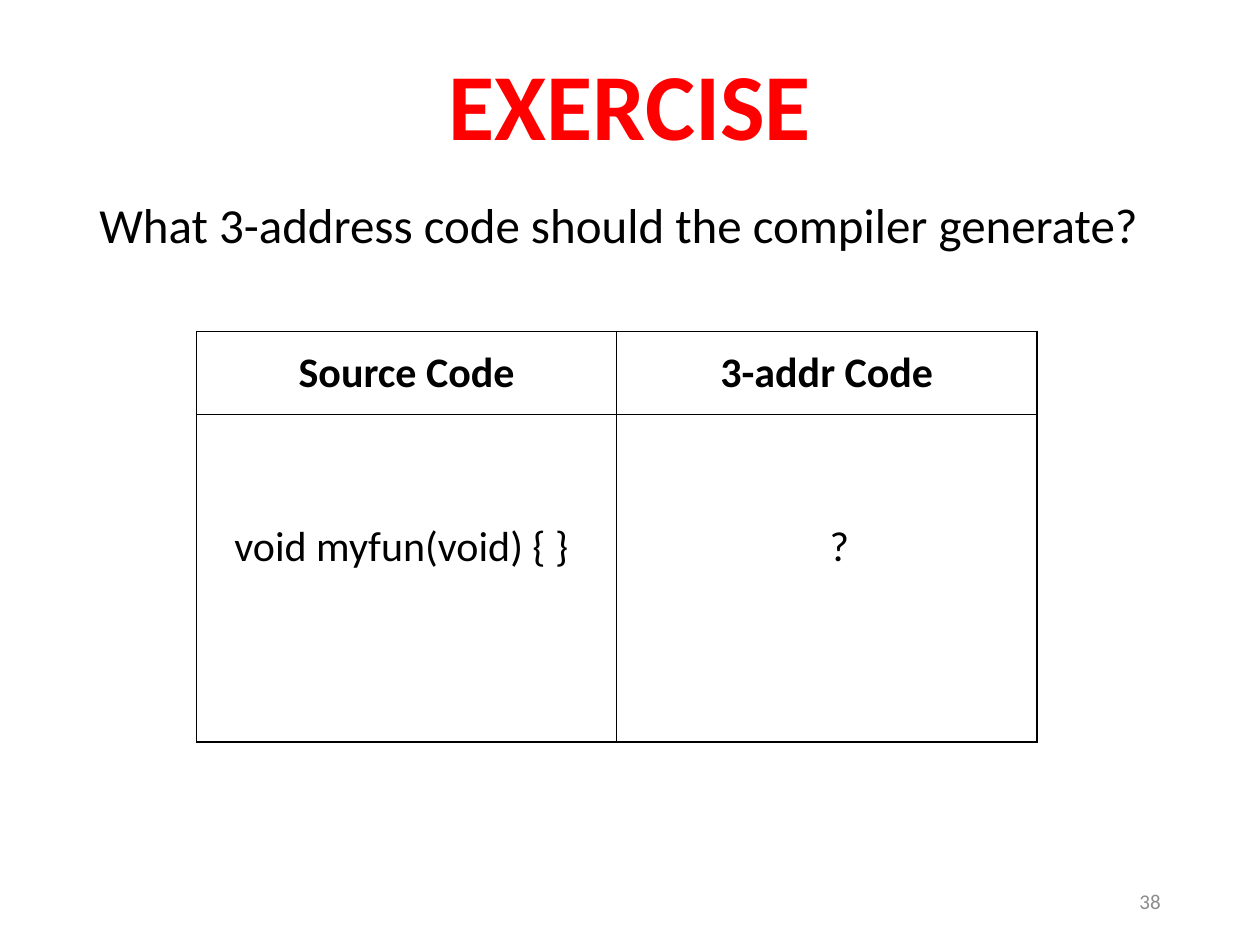
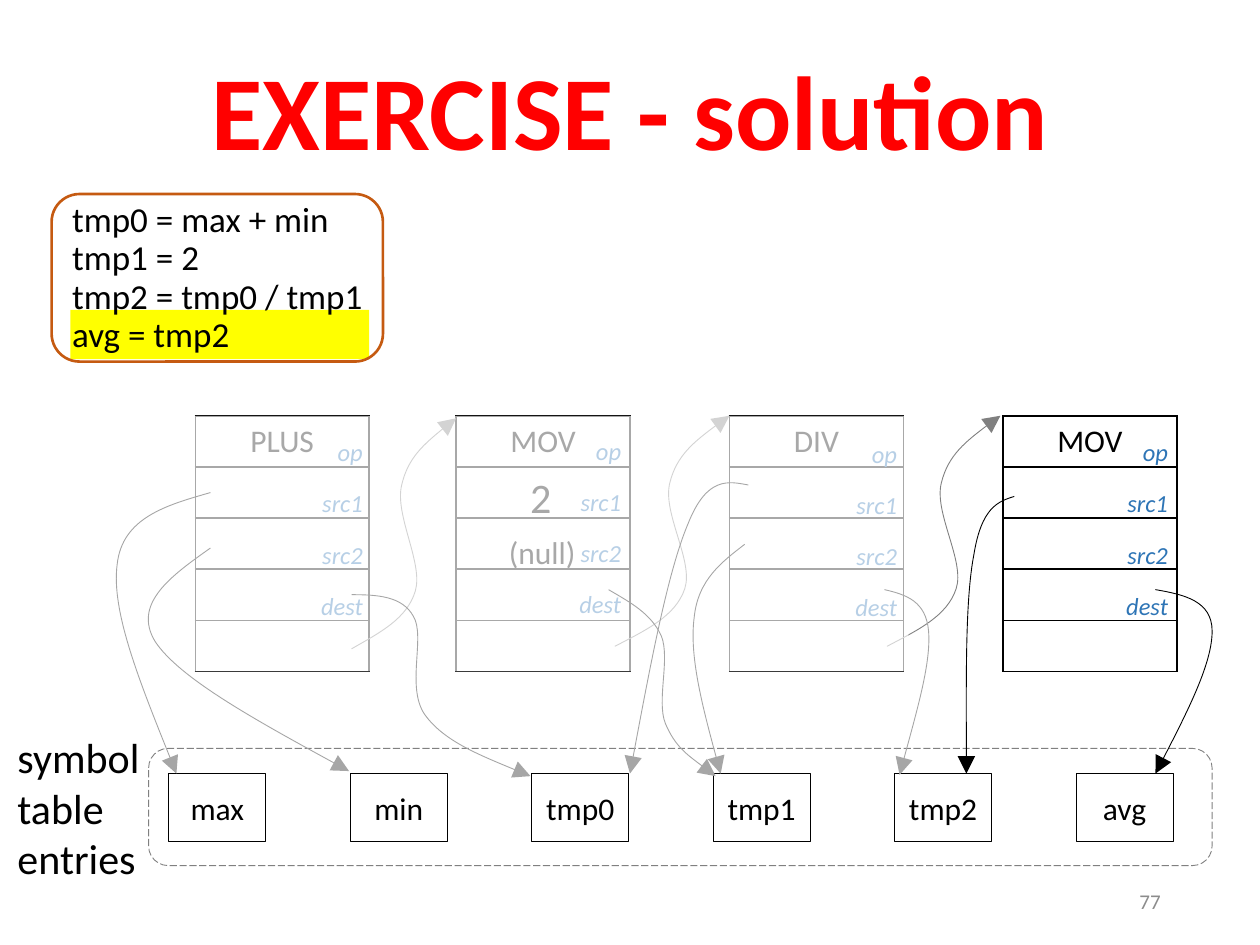
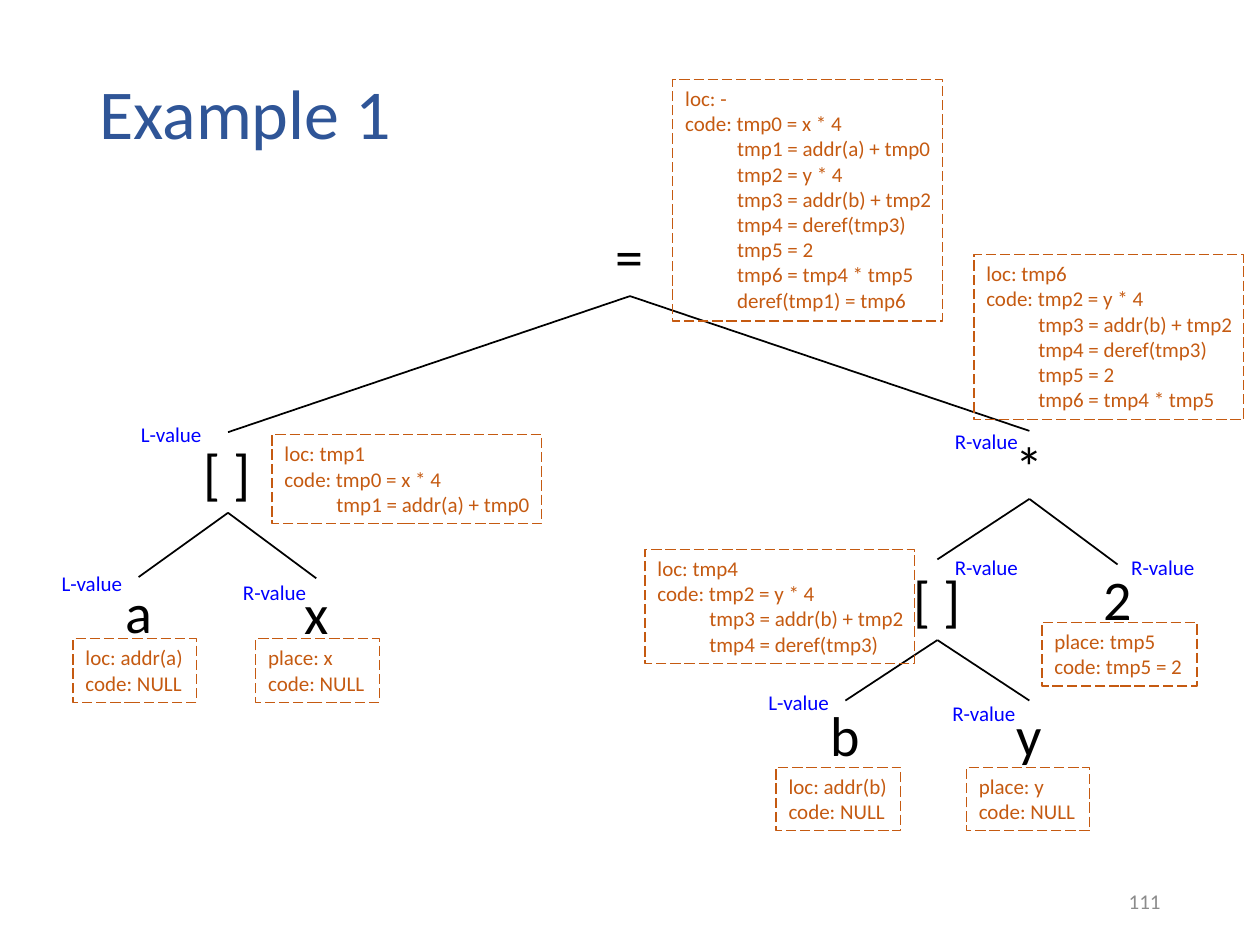
import pptx
import pptx.util
import pptx.dml.color
import pptx.enum.dml
import pptx.enum.shapes
import pptx.enum.text
import pptx.oxml.ns
from lxml import etree

COLORS = {
    "ink": "000000", "title": "FF0000", "heading": "2F5597", "number": "8C8C8C",
    "field": "2E75B6", "code": "C55A11", "value": "0000FF", "mark": "FFFF00",
    "veil": "FFFFFF", "link": "808080", "faded": "A6A6A6",
}
FONT = "Calibri"
COLS, ROWS = 100, 75
SHAPE = pptx.enum.shapes.MSO_SHAPE
ALIGN = pptx.enum.text.PP_ALIGN
ANCHOR = pptx.enum.text.MSO_ANCHOR
DASH = pptx.enum.dml.MSO_LINE.LONG_DASH
INSETS = (1, 0.5, 1, 0.5)
TIGHT = (1, 0.5, 0, 0.5)
NONE = (0, 0, 0, 0)
TITLE_BOX = (6.9, 4, 86.2, 10.5)
FIELDS = ("op", "src1", "src2", "dest", "")
CELL = 4.06
LINK_CURVE = [(0, 1), (0.27, 0.93), (0.53, 0.87), (0.61, 0.75), (0.69, 0.63), (0.41, 0.42),
              (0.48, 0.29), (0.54, 0.17), (0.77, 0.08), (1, 0)]

prs = pptx.Presentation()
prs.slide_width = pptx.util.Inches(10)
prs.slide_height = pptx.util.Inches(7.5)


def gx(cols):
    return pptx.util.Emu(round(prs.slide_width * cols / COLS))


def gy(rows):
    return pptx.util.Emu(round(prs.slide_height * rows / ROWS))


def place(box):
    x, y, w, h = box
    return gx(x), gy(y), gx(w), gy(h)


def rgb(name):
    return pptx.dml.color.RGBColor.from_string(COLORS[name])


def qn(tag):
    return pptx.oxml.ns.qn(tag)


def sub(parent, tag, **attrs):
    return etree.SubElement(parent, qn(tag), attrs)


def write(tf, lines, size, color="ink", bold=False, italic=False, align=ALIGN.LEFT, spacing=None):
    for i, line in enumerate(lines):
        p = tf.paragraphs[0] if i == 0 else tf.add_paragraph()
        p.text = line
        p.alignment = align
        if spacing:
            p.line_spacing = spacing
        p.font.name = FONT
        p.font.size = pptx.util.Pt(size)
        p.font.bold = bold
        p.font.italic = italic
        p.font.color.rgb = rgb(color)


def frame(tf, insets=INSETS, anchor=ANCHOR.TOP, wrap=True):
    tf.word_wrap = wrap
    tf.vertical_anchor = anchor
    tf.margin_left, tf.margin_right = gx(insets[0]), gx(insets[2])
    tf.margin_top, tf.margin_bottom = gy(insets[1]), gy(insets[3])
    return tf


def add_text(slide, box, lines, size, insets=INSETS, anchor=ANCHOR.TOP, wrap=True, **style):
    sp = slide.shapes.add_textbox(*place(box))
    write(frame(sp.text_frame, insets, anchor, wrap), lines, size, **style)
    return sp


def set_line(line, color, width, dash=None):
    line.color.rgb = rgb(color)
    line.width = pptx.util.Pt(width)
    if dash:
        line.dash_style = dash


def add_box(slide, kind, box, fill=None, line=None):
    sp = slide.shapes.add_shape(kind, *place(box))
    sp.shadow.inherit = False
    if fill:
        sp.fill.solid()
        sp.fill.fore_color.rgb = rgb(fill)
    else:
        sp.fill.background()
    if line:
        set_line(sp.line, *line)
    else:
        sp.line.fill.background()
    return sp


def add_curve(slide, points, color):
    emu = [(gx(x), gy(y)) for x, y in points]
    builder = slide.shapes.build_freeform(*emu[0])
    builder.add_line_segments(emu[1:], close=False)
    sp = builder.convert_to_shape()
    sp.shadow.inherit = False
    sp.fill.background()
    set_line(sp.line, color, 0.5)
    sub(sp._element.spPr.find(qn("a:ln")), "a:tailEnd", type="triangle", w="lg", len="lg")
    steps = list(sp._element.iter(qn("a:lnTo")))
    outline = steps[0].getparent()
    for i in range(0, len(steps), 3):
        bezier = sub(outline, "a:cubicBezTo")
        for step in steps[i:i + 3]:
            bezier.append(step[0])
            outline.remove(step)


def set_borders(cell, color):
    tcPr = cell._tc.get_or_add_tcPr()
    for side in ("L", "R", "T", "B"):
        ln = sub(tcPr, "a:ln" + side, w="12700")
        if color:
            sub(sub(ln, "a:solidFill"), "a:srgbClr", val=COLORS[color])
        else:
            sub(ln, "a:noFill")


def add_grid(slide, x, y, widths, heights, border=None):
    box = place((x, y, sum(widths), sum(heights)))
    table = slide.shapes.add_table(len(heights), len(widths), *box).table
    table.first_row = table.horz_banding = False
    for column, width in zip(table.columns, widths):
        column.width = gx(width)
    for row, height in zip(table.rows, heights):
        row.height = gy(height)
    for cell in table.iter_cells():
        set_borders(cell, border)
        cell.fill.background()
    return table


def new_slide(number, title, size, color, height=10.5, **style):
    slide = prs.slides.add_slide(prs.slide_layouts[6])
    add_text(slide, TITLE_BOX[:3] + (height,), [title], size, anchor=ANCHOR.MIDDLE,
             color=color, spacing=0.9, **style)
    add_text(slide, (70.6, 69.5, 22.5, 4), [number], 12, anchor=ANCHOR.MIDDLE,
             color="number", align=ALIGN.RIGHT)
    return slide


def code_table(slide, x, y, width, header, body):
    table = add_grid(slide, x, y, [width / 2] * 2, [header, body], "ink")
    for col, heading in enumerate(("Source Code", "3-addr Code")):
        cell = table.cell(0, col)
        cell.vertical_anchor = ANCHOR.MIDDLE
        write(cell.text_frame, [heading], 24, bold=True, align=ALIGN.CENTER)
    for col, (text, align) in enumerate((("void myfun(void) { }", ALIGN.LEFT), ("?", ALIGN.CENTER))):
        cell = table.cell(1, col)
        cell.margin_left = gx(3)
        cell.margin_top = gy(8.5)
        write(cell.text_frame, [text], 24, align=align)


def record(slide, x, y, op, dx, dy):
    table = add_grid(slide, x, y, [13.8], [CELL] * 5, "ink")
    write(table.cell(0, 0).text_frame, [op], 18, align=ALIGN.CENTER)
    labels = add_grid(slide, x + dx, y + dy, [6.9], [CELL] * 5)
    for row, field in enumerate(FIELDS):
        write(labels.cell(row, 0).text_frame, [field], 14, color="field", italic=True, align=ALIGN.RIGHT)


def next_link(slide, x, y, w, h):
    add_curve(slide, [(x + w * u, y + h * v) for u, v in LINK_CURVE], "link")


def statements(slide, x, y, w, h):
    add_box(slide, SHAPE.RECTANGLE, (x + 1.5, y + 9.2, 23.7, 3.9), fill="mark")
    sp = add_box(slide, SHAPE.ROUNDED_RECTANGLE, (x, y, w, h), line=("code", 1.5))
    lines = ["tmp0 = max + min", "tmp1 = 2", "tmp2 = tmp0 / tmp1", "avg = tmp2"]
    write(frame(sp.text_frame, TIGHT, ANCHOR.MIDDLE), lines, 20, spacing=pptx.util.Pt(22))


def symbol_table(slide, x, y, w, h):
    add_text(slide, (x - 11.4, y - 1.8, 11.8, 13.1), ["symbol", "table", "entries"], 24, wrap=False)
    for i, name in enumerate(("max", "min", "tmp0", "tmp1", "tmp2", "avg")):
        sp = add_box(slide, SHAPE.RECTANGLE, (x + 1.6 + 14.4 * i, y + 2, 7.7, 5.4), line=("ink", 0.5))
        write(frame(sp.text_frame, anchor=ANCHOR.MIDDLE), [name], 18, align=ALIGN.CENTER)
    add_box(slide, SHAPE.ROUNDED_RECTANGLE, (x, y, w, h), line=("link", 0.5, DASH))


def veil(slide, box):
    sp = add_box(slide, SHAPE.RECTANGLE, box, fill="veil")
    sub(next(sp._element.spPr.iter(qn("a:srgbClr"))), "a:alpha", val="66000")


def node(slide, x, y, text):
    if text in ("=", "[ ]"):
        w = 4.3 if text == "=" else 5.8
        return add_text(slide, (x - w / 2, y, w, 6.4), [text], 32, wrap=False)
    return add_text(slide, (x - 1.8, y, 3.6, 5.4), [text], 32, insets=NONE,
                    anchor=ANCHOR.MIDDLE, align=ALIGN.CENTER)


def branch(slide, parent, child):
    line = slide.shapes.add_connector(pptx.enum.shapes.MSO_CONNECTOR.STRAIGHT, 0, 0, 0, 0)
    line.begin_connect(parent, 2)
    line.end_connect(child, 0)
    set_line(line.line, "ink", 1)
    sub(line._element.spPr, "a:effectLst")


def attributes(slide, x, y, w, place_line, code):
    lines = [place_line, "code: " + code[0]] + [" " * 11 + step for step in code[1:]]
    sp = add_box(slide, SHAPE.RECTANGLE, (x, y, w, 1 + 2.02 * len(lines)), line=("code", 0.75, DASH))
    long = len(code) > 1
    write(frame(sp.text_frame, TIGHT if long else INSETS, wrap=long), lines, 12, color="code")


def exercise_slide():
    slide = new_slide("38", "EXERCISE", 54, "title", 9.5, bold=True, align=ALIGN.CENTER)
    add_text(slide, (6.9, 15.5, 86.2, 6.7), ["What 3-address code should the compiler generate?"], 28,
             spacing=0.9)
    code_table(slide, 15.6, 26.3, 66.7, 6.6, 26)


def solution_slide():
    slide = new_slide("77", "EXERCISE - solution", 60, "title", bold=True, align=ALIGN.CENTER)
    statements(slide, 4.1, 15.4, 26.3, 13.3)
    for x, op, dx, dy in ((15.5, "PLUS", 7.4, 1.3), (36.2, "MOV", 7.2, 1.2),
                          (57.9, "DIV", 7.4, 1.4), (79.6, "MOV", 7.2, 1.3)):
        record(slide, x, 33, op, dx, dy)
    add_text(slide, (41.1, 36.9, 3.7, 5), ["2"], 24, wrap=False)
    add_text(slide, (39.4, 41.8, 7.4, 4), ["(null)"], 18, wrap=False)
    for x, y, w in ((27.9, 33.2, 8.3), (48.8, 33, 9.1), (70.4, 33, 9)):
        next_link(slide, x, y, w, 18.3)
    symbol_table(slide, 11.8, 59.4, 84.4, 9.3)
    veil(slide, (15.4, 33, 56.7, 20.3))
    operand_links = [
        ("ink", [(80.5, 39.4), (79.2, 39.8), (77.9, 40.3), (77.3, 44), (76.6, 47.6), (76.7, 54.5),
                 (76.7, 61.4)]),
        ("ink", [(91.7, 46.8), (94, 47.2), (96.2, 47.7), (96.2, 50.1), (96.2, 52.6), (94, 57),
                 (91.7, 61.4)]),
        ("faded", [(16.7, 39.1), (13.2, 40.1), (9.7, 41.1), (9.3, 44.8), (8.8, 48.5), (11.4, 54.9),
                   (14, 61.4)]),
        ("faded", [(16.7, 43.5), (13.6, 45.7), (10.5, 47.9), (12.3, 50.9), (14.2, 53.8), (20.9, 57.5),
                   (27.7, 61.2)]),
        ("faded", [(27.9, 47.2), (29.9, 47.2), (31.9, 47.3), (32.8, 48.9), (33.8, 50.5), (32.2, 54.5),
                   (33.7, 56.7), (35.2, 58.8), (38.7, 60.2), (42.1, 61.6)]),
        ("faded", [(48.3, 46.8), (50, 47.8), (51.7, 48.7), (52.5, 50.5), (53.2, 52.3), (52.1, 55.6),
                   (52.8, 57.4), (53.6, 59.3), (55.2, 60.4), (56.8, 61.6)]),
        ("faded", [(59.4, 38.5), (57.8, 38.2), (56.1, 37.8), (54.6, 41.6), (53, 45.4), (51.5, 53.4),
                   (50, 61.4)]),
        ("faded", [(59.1, 43.2), (57.3, 44.6), (55.4, 46), (55.1, 49), (54.7, 52), (55.9, 56.7),
                   (57.2, 61.4)]),
        ("faded", [(70.2, 46.8), (71.9, 47.2), (73.5, 47.7), (73.7, 50.1), (73.9, 52.6), (72.6, 57),
                   (71.4, 61.5)]),
    ]
    for color, points in operand_links:
        add_curve(slide, points, color)


def tree_slide():
    slide = new_slide("111", "Example 1", 40, "heading")
    tree = {
        "assign": (50, 17.1, "=", None), "target": (18.1, 34.3, "[ ]", "assign"),
        "product": (81.7, 34.2, "*", "assign"), "a": (11, 45.8, "a", "target"),
        "x": (25.1, 45.9, "x", "target"), "element": (74.4, 44.4, "[ ]", "product"),
        "two": (88.7, 44.8, "2", "product"), "b": (67.1, 55.6, "b", "element"),
        "y": (81.7, 55.6, "y", "element"),
    }
    nodes = {}
    for name, (x, y, text, parent) in tree.items():
        nodes[name] = node(slide, x, y, text)
        if parent:
            branch(slide, nodes[parent], nodes[name])
    values = {
        "L-value": [(10.2, 33), (3.9, 44.8), (60, 54.2)],
        "R-value": [(18.3, 45.5), (74.8, 33.5), (74.8, 43.5), (88.8, 43.5), (74.6, 55.1)],
    }
    for text, spots in values.items():
        for x, y in spots:
            add_text(slide, (x, y, 7, 3), [text], 12, color="value", wrap=False)
    target = ["tmp0 = x * 4", "tmp1 = addr(a) + tmp0"]
    element = ["tmp2 = y * 4", "tmp3 = addr(b) + tmp2", "tmp4 = deref(tmp3)"]
    product = element + ["tmp5 = 2", "tmp6 = tmp4 * tmp5"]
    assign = target + product + ["deref(tmp1) = tmp6"]
    for x, y, w, place_line, code in (
        (20.3, 50.7, 9.8, "place: x", ["NULL"]), (5.8, 50.7, 9.8, "loc: addr(a)", ["NULL"]),
        (21.6, 34.5, 21.4, "loc: tmp1", target), (61.6, 60.9, 9.9, "loc: addr(b)", ["NULL"]),
        (76.7, 60.9, 9.8, "place: y", ["NULL"]), (51.2, 43.6, 21.4, "loc: tmp4", element),
        (82.7, 49.4, 12.3, "place: tmp5", ["tmp5 = 2"]), (77.3, 20.2, 21.4, "loc: tmp6", product),
        (53.4, 6.3, 21.4, "loc: -", assign),
    ):
        attributes(slide, x, y, w, place_line, code)


def main():
    exercise_slide()
    solution_slide()
    tree_slide()
    prs.save("out.pptx")


if __name__ == "__main__":
    main()
